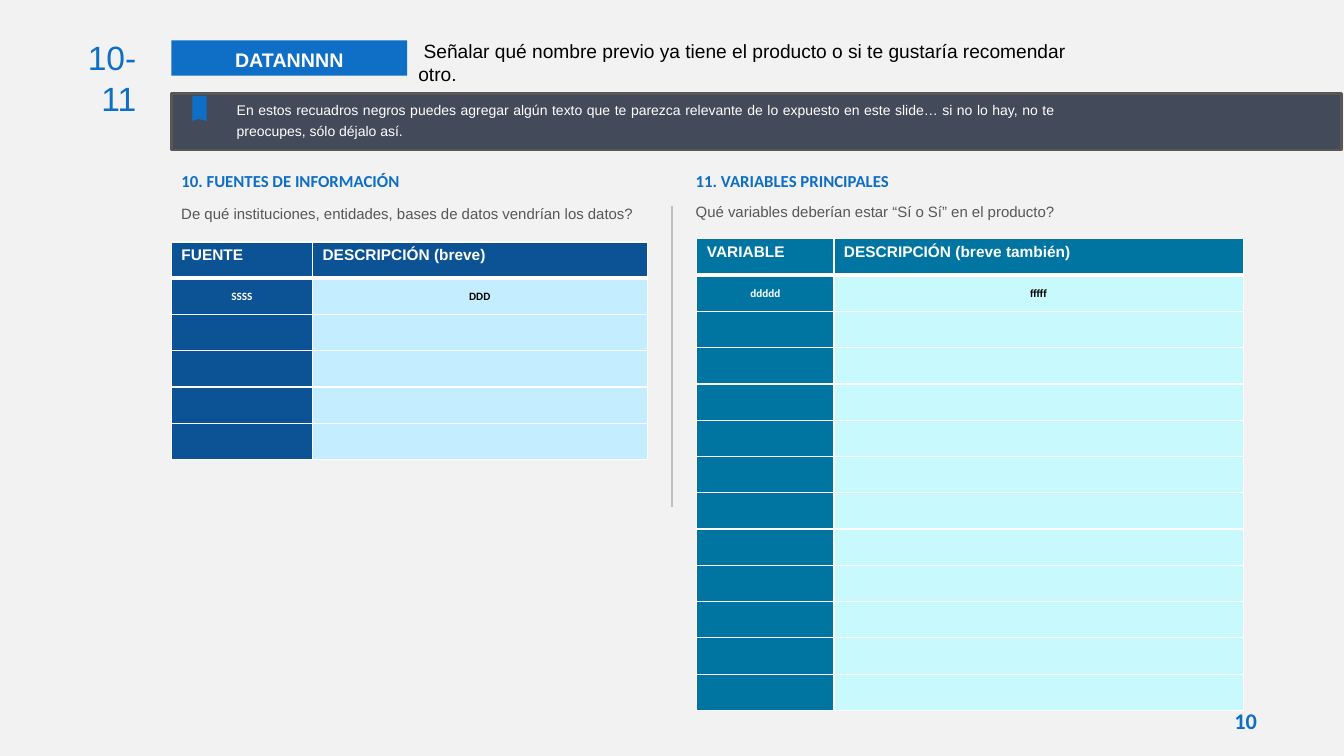
import dataclasses
import typing

import lxml.etree
import pptx
import pptx.dml.color
import pptx.enum.shapes
import pptx.enum.text
import pptx.oxml
import pptx.oxml.ns
import pptx.util

RGBColor = pptx.dml.color.RGBColor
Align = pptx.enum.text.PP_ALIGN
Anchor = pptx.enum.text.MSO_ANCHOR
ShapeKind = pptx.enum.shapes.MSO_SHAPE

BLUE = RGBColor(0x0F, 0x6F, 0xC6)
NAVY = RGBColor(0x0B, 0x53, 0x94)
TEAL = RGBColor(0x00, 0x75, 0xA2)
PALE_BLUE = RGBColor(0xC4, 0xEE, 0xFF)
PALE_CYAN = RGBColor(0xC8, 0xF9, 0xFC)
SLATE = RGBColor(0x43, 0x4A, 0x59)
GREY = RGBColor(0x57, 0x57, 0x56)
LIGHT_GREY = RGBColor(0xBF, 0xBF, 0xBF)
BACKGROUND = RGBColor(0xF2, 0xF2, 0xF2)
WHITE = RGBColor(0xFF, 0xFF, 0xFF)
BLACK = RGBColor(0, 0, 0)

WIDTH, HEIGHT = pptx.util.Inches(13.33), pptx.util.Inches(7.5)
COLUMNS, ROWS = 40, 30
MARGIN = 5.1
TABLE_ROW = 1.44


@dataclasses.dataclass(frozen=True)
class Box:
    """A rectangle in grid columns and rows."""
    left: float
    top: float
    width: float
    height: float


@dataclasses.dataclass(frozen=True)
class Style:
    """The look of a piece of text."""
    size: float
    color: RGBColor
    font: str = "Arial"
    bold: bool = False
    align: Align = Align.LEFT
    spacing: float = 1.0


@dataclasses.dataclass(frozen=True)
class Section:
    """A heading, its question and the table that answers it."""
    left: float
    heading: str
    question: str
    question_top: float
    table_left: float
    table_top: float
    column_widths: tuple[float, float]
    row_count: int
    header: tuple[str, str]
    example: tuple[str, str]
    dark: RGBColor
    pale: RGBColor


HEADING = Style(12, BLUE, "Calibri", True)
QUESTION = Style(10.7, GREY)
TABLE_HEADER = Style(11, WHITE, bold=True)
KEY_CELL = Style(8, WHITE, "Calibri", True, Align.CENTER)
VALUE_CELL = dataclasses.replace(KEY_CELL, color=BLACK, bold=True)

SECTIONS = (
    Section(MARGIN, "10. FUENTES DE INFORMACIÓN",
            "De qué instituciones, entidades, bases de datos vendrían los datos?",
            7.92, MARGIN, 9.6, (4.2, 9.96), 6,
            ("FUENTE", "DESCRIPCIÓN (breve)"), ("SSSS", "DDD"), NAVY, PALE_BLUE),
    Section(20.41, "11. VARIABLES PRINCIPALES",
            "Qué variables deberían estar “Sí o Sí” en el producto?",
            7.84, 20.74, 9.48, (4.08, 12.18), 13,
            ("VARIABLE", "DESCRIPCIÓN (breve también)"), ("ddddd", "fffff"), TEAL, PALE_CYAN),
)


def across(columns: float) -> int:
    """Turn grid columns into a length."""
    return round(WIDTH * columns / COLUMNS)


def down(rows: float) -> int:
    """Turn grid rows into a length."""
    return round(HEIGHT * rows / ROWS)


def place(box: Box) -> tuple[int, int, int, int]:
    """Turn a box into left, top, width and height."""
    return across(box.left), down(box.top), across(box.width), down(box.height)


def write(frame: typing.Any, text: str, style: Style) -> None:
    """Put one styled run into the first paragraph of a text frame."""
    paragraph = frame.paragraphs[0]
    paragraph.alignment = style.align
    paragraph.line_spacing = style.spacing
    run = paragraph.add_run()
    run.text = text
    run.font.size = pptx.util.Pt(style.size)
    run.font.name = style.font
    run.font.bold = style.bold
    run.font.color.rgb = style.color


def add_text(slide: typing.Any, box: Box, text: str, style: Style) -> typing.Any:
    """Add a wrapping text box and return its frame."""
    frame = slide.shapes.add_textbox(*place(box)).text_frame
    frame.word_wrap = True
    write(frame, text, style)
    return frame


def paint(shape: typing.Any, fill: RGBColor) -> None:
    """Give a shape a flat fill without line or shadow."""
    shape.shadow.inherit = False
    shape.fill.solid()
    shape.fill.fore_color.rgb = fill
    shape.line.fill.background()


def add_rectangle(slide: typing.Any, box: Box, fill: RGBColor) -> typing.Any:
    """Add a flat rectangle."""
    shape = slide.shapes.add_shape(ShapeKind.RECTANGLE, *place(box))
    paint(shape, fill)
    return shape


def add_bookmark(slide: typing.Any) -> None:
    """Add the notched ribbon hanging from the note bar."""
    left, middle, right = across(5.73), across(5.91), across(6.15)
    top, notch, bottom = down(3.8), down(4.72), down(4.8)
    builder = slide.shapes.build_freeform(right, top)
    builder.add_line_segments([(right, bottom), (middle, notch), (left, bottom), (left, top)])
    paint(builder.convert_to_shape(), BLUE)


def add_divider(slide: typing.Any) -> None:
    """Add the vertical line between both sections."""
    middle = across(COLUMNS / 2)
    line = slide.shapes.add_connector(
        pptx.enum.shapes.MSO_CONNECTOR.STRAIGHT, middle, down(8.16), middle, down(20.12))
    line.line.color.rgb = LIGHT_GREY
    line.line.width = pptx.util.Pt(0.75)
    lxml.etree.SubElement(line._element.spPr, pptx.oxml.ns.qn("a:effectLst"))


def format_cell(cell: typing.Any, fill: RGBColor, bottom: float) -> None:
    """Set white borders, then the fill, of a table cell."""
    properties = cell._tc.get_or_add_tcPr()
    for side, points in (("L", 1), ("R", 1), ("T", 1), ("B", bottom)):
        properties.append(pptx.oxml.parse_xml(
            f'<a:ln{side} {pptx.oxml.ns.nsdecls("a")} w="{pptx.util.Pt(points)}">'
            f'<a:solidFill><a:srgbClr val="{WHITE}"/></a:solidFill></a:ln{side}>'))
    cell.fill.solid()
    cell.fill.fore_color.rgb = fill


def add_section_table(slide: typing.Any, section: Section) -> None:
    """Add a table with a header, an example row and empty rows."""
    box = Box(section.table_left, section.table_top,
              sum(section.column_widths), section.row_count * TABLE_ROW)
    table = slide.shapes.add_table(section.row_count, 2, *place(box)).table
    for column, width in zip(table.columns, section.column_widths):
        column.width = across(width)
    for row_index, row in enumerate(table.rows):
        row.height = down(TABLE_ROW)
        for column_index, cell in enumerate(row.cells):
            is_header = row_index == 0
            is_dark = is_header or column_index == 0
            format_cell(cell, section.dark if is_dark else section.pale, 3 if is_header else 1)
            if is_header:
                write(cell.text_frame, section.header[column_index], TABLE_HEADER)
                continue
            cell.margin_left = cell.margin_right = cell.margin_top = cell.margin_bottom = 0
            cell.vertical_anchor = Anchor.MIDDLE
            if row_index == 1:
                write(cell.text_frame, section.example[column_index],
                      KEY_CELL if is_dark else VALUE_CELL)


def add_title(slide: typing.Any) -> None:
    """Move and fill the title placeholder."""
    title = slide.shapes.title
    title.left, title.top, title.width, title.height = place(Box(12.15, 1.36, 20.14, 2.24))
    frame = title.text_frame
    frame.word_wrap = True
    frame.auto_size = pptx.enum.text.MSO_AUTO_SIZE.NONE
    frame.vertical_anchor = Anchor.MIDDLE
    write(frame, " Señalar qué nombre previo ya tiene el producto o si te gustaría "
          "recomendar otro.", Style(13.7, BLACK))


def add_top_band(slide: typing.Any) -> None:
    """Add the section number, the tag and the note bar."""
    tag = add_rectangle(slide, Box(MARGIN, 1.6, 7.02, 1.4), BLUE)
    tag.text_frame.vertical_anchor = Anchor.TOP
    write(tag.text_frame, "DATANNNN",
          Style(14, WHITE, bold=True, align=Align.CENTER, spacing=1.1))
    add_text(slide, Box(1.41, 1.28, 2.94, 2), "10-11", Style(24, BLUE, align=Align.RIGHT))
    bar = add_rectangle(slide, Box(MARGIN, 3.72, 34.84, 2.24), SLATE)
    bar.line.color.rgb = GREY
    bar.line.width = pptx.util.Pt(2)
    add_bookmark(slide)
    add_text(slide, Box(6.75, 3.72, 24.9, 2.24),
             "En estos recuadros negros puedes agregar algún texto que te parezca relevante de lo "
             "expuesto en este slide… si no lo hay, no te preocupes, sólo déjalo así.",
             Style(10, WHITE, align=Align.JUSTIFY, spacing=1.2))


def main() -> None:
    """Build and save the slide."""
    presentation = pptx.Presentation()
    presentation.slide_width, presentation.slide_height = WIDTH, HEIGHT
    slide = presentation.slides.add_slide(presentation.slide_layouts[5])
    slide.background.fill.solid()
    slide.background.fill.fore_color.rgb = BACKGROUND
    add_title(slide)
    add_top_band(slide)
    add_divider(slide)
    for section in SECTIONS:
        add_text(slide, Box(section.left, 6.56, 14.88, 1.2), section.heading, HEADING)
        add_text(slide, Box(section.left, section.question_top, 14.76, 1.12),
                 section.question, QUESTION)
        add_section_table(slide, section)
    page = add_text(slide, Box(36.16, 28, 1.83, 1.32), "10",
                    Style(16, BLUE, "Calibri", True, Align.CENTER))
    page.margin_left = page.margin_right = pptx.util.Inches(0.05)
    page.margin_top = page.margin_bottom = pptx.util.Inches(0.02)
    presentation.save("out.pptx")


main()
